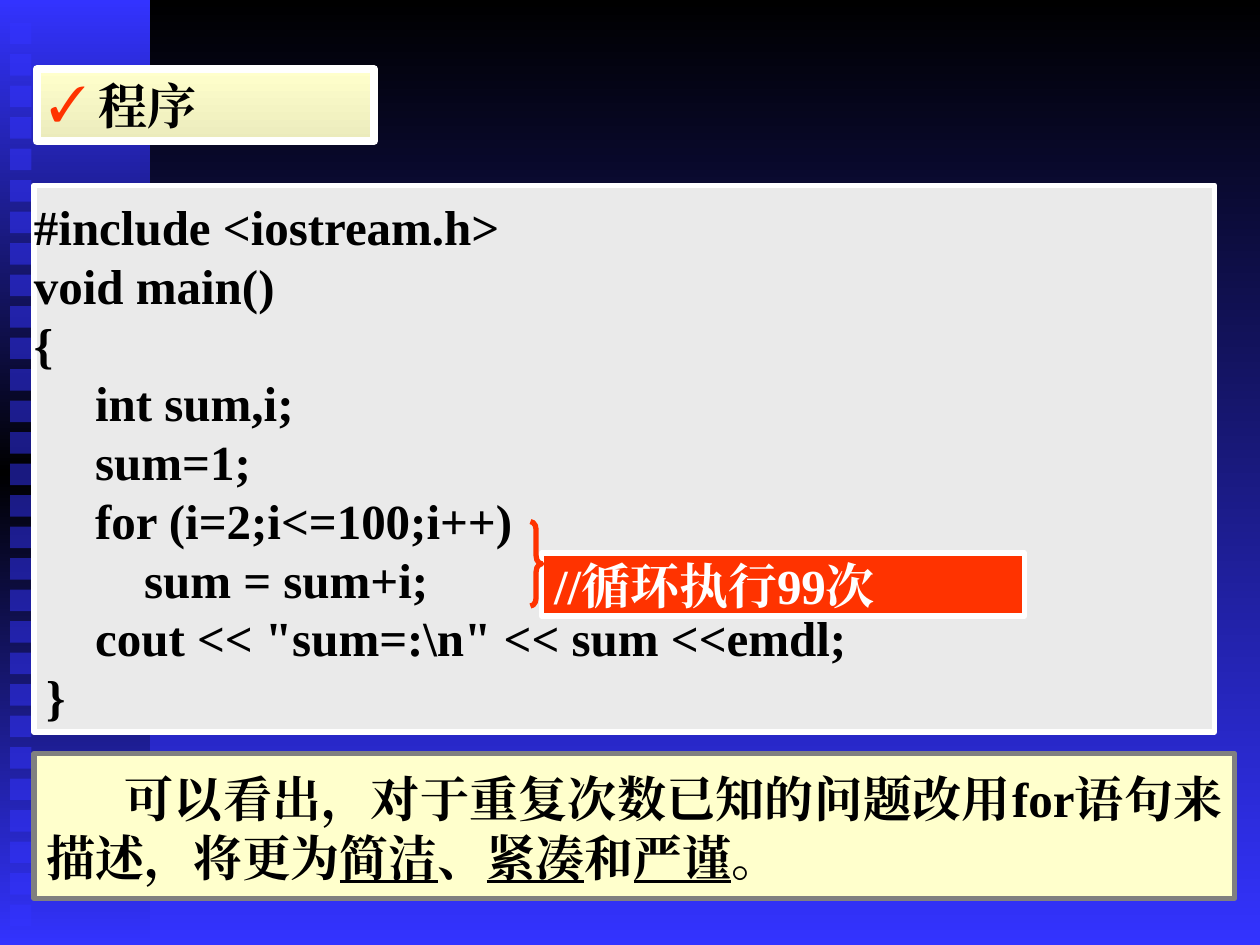
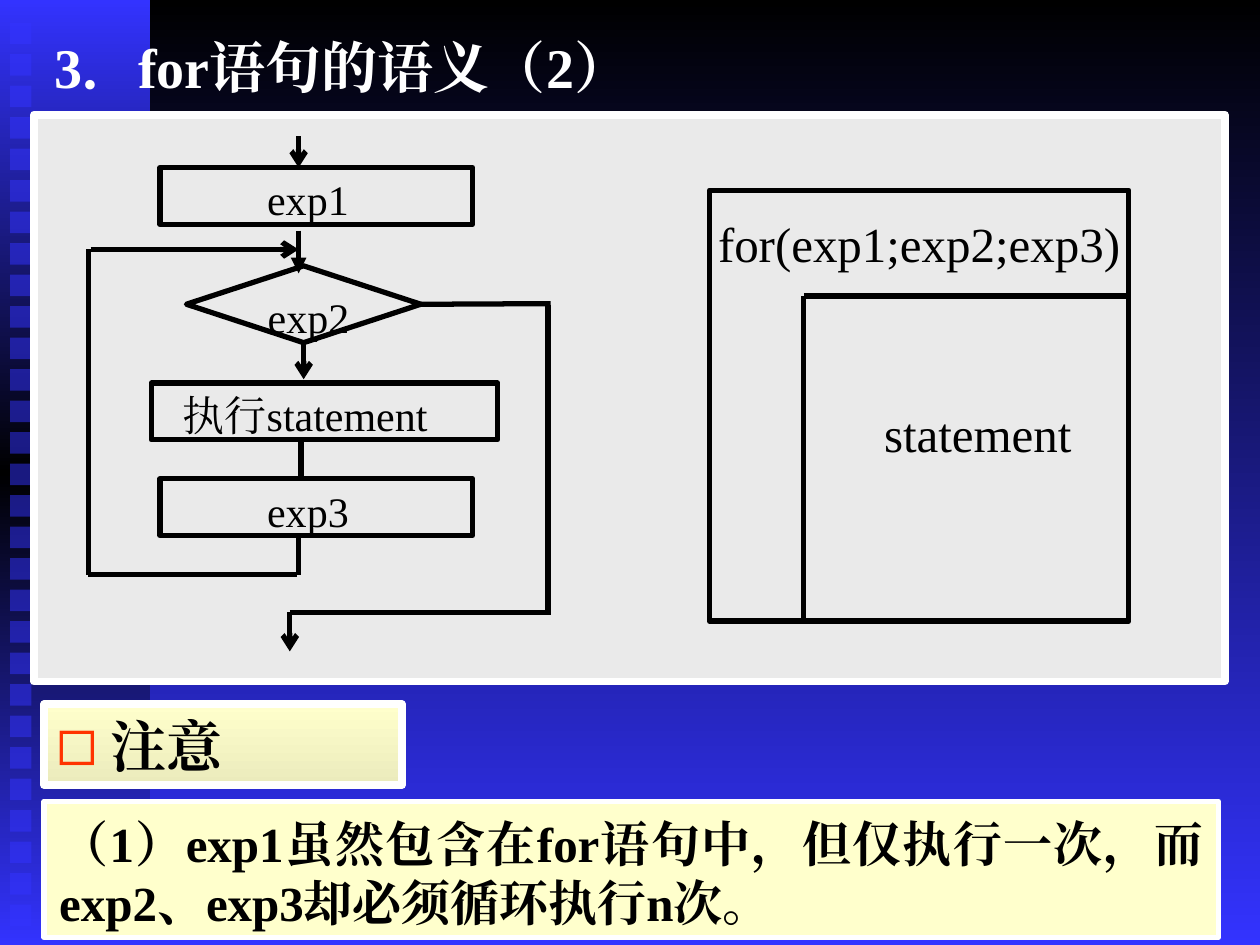
from copy import deepcopy

from pptx import Presentation
from pptx import util as u
from pptx.dml.color import RGBColor
from pptx.enum import shapes, text
from pptx.oxml.ns import qn
from pptx.oxml.xmlchemy import OxmlElement

HUES = {"black": "000000", "white": "FFFFFF", "blue": "3333FF", "red": "FF3300",
        "panel": "EAEAEA", "cream": "FFFFCC", "sand": "EBEBBC", "grey": "808080"}
FONT = "Times New Roman"
SHAPE = shapes.MSO_SHAPE
ALIGN = text.PP_ALIGN
MID = text.MSO_ANCHOR.MIDDLE
LINE = u.Pt(33.6)
CODE = """#include <iostream.h>
void main()
{
     int sum,i;
     sum=1;
     for (i=2;i<=100;i++)
         sum = sum+i;
     cout << "sum=:\\n" << sum <<emdl;
 }"""


def hue(name):
    """Return the named colour."""
    return RGBColor.from_string(HUES[name])


def grad(fill, names):
    """Fill from top to bottom with evenly spaced colours."""
    fill.gradient()
    fill.gradient_angle = 270
    first = fill.gradient_stops[0]._gs
    for _ in names[2:]:
        first.addnext(deepcopy(first))
    for i, (stop, name) in enumerate(zip(fill.gradient_stops, names)):
        stop.color.rgb = hue(name)
        stop.position = i / (len(names) - 1)


def node(parent, tag, **attrs):
    """Append an element with attributes."""
    item = OxmlElement(tag)
    for key, value in attrs.items():
        item.set(key, str(value))
    parent.append(item)
    return item


def paint(shape, fill=None, edge=None, width=3):
    """Set the fill and outline of a shape."""
    if isinstance(fill, tuple):
        grad(shape.fill, fill)
    elif fill:
        shape.fill.solid()
        shape.fill.fore_color.rgb = hue(fill)
    else:
        shape.fill.background()
    if edge:
        shape.line.color.rgb = hue(edge)
        shape.line.width = u.Pt(width)
    else:
        shape.line.fill.background()


def place(shape, box):
    """Move a shape to a box in inches."""
    shape.left, shape.top, shape.width, shape.height = map(u.Inches, box)


def block(slide, box, fill=None, edge=None, width=3, kind=SHAPE.RECTANGLE):
    """Add a plain shape."""
    shape = slide.shapes.add_shape(kind, *map(u.Inches, box))
    shape.shadow.inherit = False
    paint(shape, fill, edge, width)
    return shape


def style(run, size, color, bold):
    """Format one run."""
    font = run.font
    font.size, font.bold, font.name = u.Pt(size), bold, FONT
    font.color.rgb = hue(color)
    node(run._r.get_or_add_rPr(), "a:ea", typeface=FONT)


def write(shape, words, size=28, color="black", bold=True, pads=(.1, .05, .1, .05),
          anchor=text.MSO_ANCHOR.TOP, align=ALIGN.LEFT, space=None, wrap=True):
    """Put formatted text in a shape."""
    frame = shape.text_frame
    frame.text = words
    frame.auto_size = text.MSO_AUTO_SIZE.NONE
    frame.word_wrap, frame.vertical_anchor = wrap, anchor
    (frame.margin_left, frame.margin_top,
     frame.margin_right, frame.margin_bottom) = map(u.Inches, pads)
    for para in frame.paragraphs:
        para.alignment = align
        if space:
            para.line_spacing = space
        for run in para.runs:
            style(run, size, color, bold)
    return frame


def wire(slide, ends, tip=None):
    """Add a black straight line, with an optional arrowhead."""
    link = slide.shapes.add_connector(shapes.MSO_CONNECTOR.STRAIGHT, *map(u.Inches, ends))
    link.line.color.rgb = hue("black")
    link.line.width = u.Pt(3)
    if tip:
        node(link.line._get_or_add_ln(), "a:tailEnd", type=tip)
    node(link._element.spPr, "a:effectLst")
    return link


def band(slide, box):
    """Draw the left band with its column of squares."""
    x, y, w, h = box
    block(slide, box, ("blue", "black", "blue"))
    for i in range(29):
        tile = block(slide, (x + .08, y + .18 + .25 * i, .17, .17), "blue")
        tint = tile._element.spPr.find(".//" + qn("a:srgbClr"))
        node(tint, "a:alpha", val=50000)


def page(deck):
    """Add a slide with the band behind its title."""
    slide = deck.slides.add_slide(deck.slide_layouts[5])
    band(slide, (0, 0, 1.19, 7.5))
    slide.shapes._spTree.append(slide.shapes.title._element)
    return slide


def label(shape, box, words, size, mark, gap, scale=100):
    """Make a shape a cream label with a red bullet."""
    place(shape, box)
    paint(shape, ("cream", "sand"), "white", 4.5)
    frame = write(shape, words, size, anchor=MID)
    props = frame.paragraphs[0]._p.get_or_add_pPr()
    props.set("marL", str(u.Inches(gap)))
    props.set("indent", str(u.Inches(-gap)))
    node(node(props, "a:buClr"), "a:srgbClr", val=HUES["red"])
    node(props, "a:buSzPct", val=scale * 1000)
    node(props, "a:buFont", typeface=FONT)
    node(props, "a:buChar", char=mark)


def code(slide, box):
    """Draw the program listing and the note on its loop."""
    x, y, w, h = box
    write(block(slide, box, "panel", "white"), CODE, pads=(0, .09, 0, .05), space=LINE)
    note = block(slide, (x + 4.03, y + 2.92, 3.83, .5), "red", "white")
    write(note, "//循环执行99次", color="white", anchor=MID)
    brace = block(slide, (x + 3.94, y + 2.67, .09, .67), None, "red", kind=SHAPE.RIGHT_BRACE)
    brace.adjustments[0] = .7


def claim(slide, box):
    """Draw the closing remark with underlined words."""
    parts = ["      可以看出，对于重复次数已知的问题改用for语句来描述，将更为".strip(),
             "简洁", "、", "紧凑", "和", "严谨", "。"]
    shape = block(slide, box, "cream", "grey")
    frame = write(shape, parts[0], pads=(.1, .12, .1, .05), align=ALIGN.JUSTIFY, space=LINE)
    para = frame.paragraphs[0]
    para._p.get_or_add_pPr().set("indent", str(u.Inches(.62)))
    for i, part in enumerate(parts[1:]):
        run = para.add_run()
        run.text = part
        style(run, 28, "black", True)
        run.font.underline = i % 2 == 0


def flow(slide, x, y):
    """Draw the flowchart of the loop from its top left corner."""
    steps = [("exp1", .57, .25, 2.48, .45, .85), ("exp2", .78, 1.03, 1.86, .61, .18),
             ("执行statement", .5, 1.96, 2.75, .45, .25), ("exp3", .57, 2.72, 2.48, .45, .85)]
    made = {}
    for name, dx, dy, w, h, pad in steps:
        kind = SHAPE.FLOWCHART_DECISION if name == "exp2" else SHAPE.FLOWCHART_PROCESS
        made[name] = block(slide, (x + dx, y + dy, w, h), None, "black", kind=kind)
        write(made[name], name, 24, bold=False, pads=(pad, .05, 0, .05))
    runs = [(1.67, 0, 1.67, .25, "arrow"), (1.67, .75, 1.67, 1.09, "triangle"),
            (.02, .9, 1.67, .9, "arrow"), (0, .9, 0, 3.48, None),
            (0, 3.48, 1.66, 3.48, None), (1.67, 3.18, 1.67, 3.48, None),
            (1.69, 2.42, 1.69, 2.72, None), (3.65, 1.34, 3.65, 3.77, None),
            (1.6, 3.78, 3.67, 3.78, None), (1.6, 3.78, 1.6, 4.09, "arrow")]
    for x1, y1, x2, y2, tip in runs:
        wire(slide, (x + x1, y + y1, x + x2, y + y2), tip)
    yes = wire(slide, (x + 1.71, y + 1.64, x + 1.71, y + 1.93), "arrow")
    yes.begin_connect(made["exp2"], 2)
    no = wire(slide, (x + 2.64, y + 1.33, x + 3.67, y + 1.33))
    no.begin_connect(made["exp2"], 3)


def nest(slide, box):
    """Draw the nested box form of the loop."""
    x, y, w, h = box
    block(slide, box, None, "black")
    wire(slide, (x + .75, y + .84, x + w, y + .84))
    wire(slide, (x + .75, y + .84, x + .75, y + h))
    for words, area in (("for(exp1;exp2;exp3)", (x + .25, y + .17, 2.83, .5)),
                        ("statement", (x + 1.17, y + 1.59, 1.92, .67))):
        area = slide.shapes.add_textbox(*map(u.Inches, area))
        write(area, words, bold=False, anchor=MID, align=ALIGN.CENTER, wrap=False)


def listing(deck):
    """Build the program slide."""
    slide = page(deck)
    code(slide, (.27, 1.47, 9.37, 4.34))
    label(slide.shapes.title, (.29, .55, 2.68, .57), "程序", 28, "✓", .39)
    claim(slide, (.27, 5.98, 9.53, 1.15))


def meaning(deck):
    """Build the semantics slide."""
    slide = page(deck)
    block(slide, (.27, .91, 9.45, 4.5), "panel", "white", 4.5)
    flow(slide, .7, 1.08)
    nest(slide, (5.63, 1.51, 3.33, 3.42))
    title = slide.shapes.title
    place(title, (.33, .21, 9.67, .83))
    write(title, "3．for语句的语义（2）", 32, "white")
    rule = block(slide, (.35, 6.36, 9.32, 1.08), "cream", "white")
    write(rule, "（1）exp1虽然包含在for语句中，但仅执行一次，而exp2、exp3却必须循环执行n次。",
          pads=(.12, .1, .12, .05), align=ALIGN.JUSTIFY, space=LINE)
    label(block(slide, (.35, 5.59, 2.84, .64)), (.35, 5.59, 2.84, .64),
          "注意", 32, "◻", .43, 120)


def main():
    """Build and save the deck."""
    deck = Presentation()
    deck.slide_width, deck.slide_height = u.Inches(10), u.Inches(7.5)
    grad(deck.slide_master.background.fill, ("black", "blue"))
    listing(deck)
    meaning(deck)
    deck.save("out.pptx")


if __name__ == "__main__":
    main()
